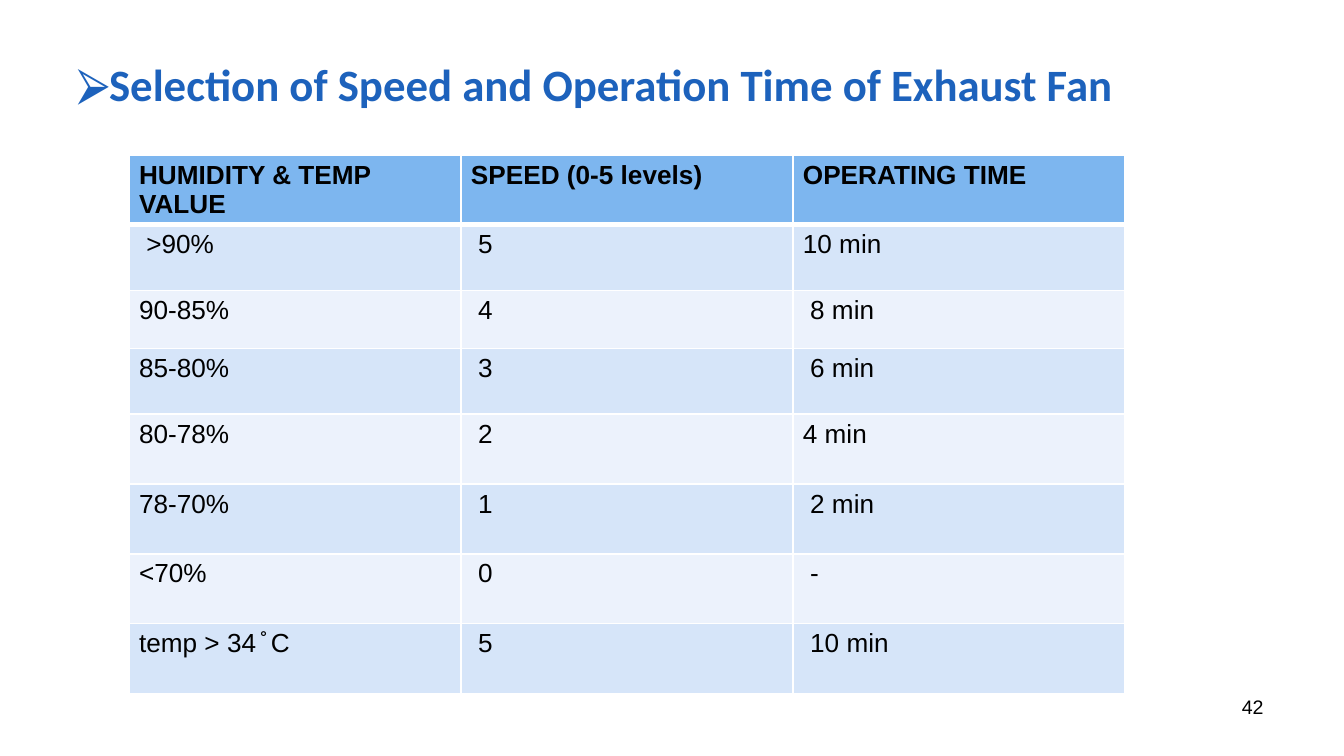
from dataclasses import dataclass

from lxml.etree import SubElement
from pptx import Presentation
from pptx.dml.color import RGBColor
from pptx.enum.text import MSO_ANCHOR, MSO_AUTO_SIZE, PP_ALIGN
from pptx.oxml.ns import qn
from pptx.util import Emu, Pt

TITLE = "Selection of Speed and Operation Time of Exhaust Fan"
TITLE_BULLET = "⮚"
PAGE_NUMBER = "42"
HEADER = ("HUMIDITY & TEMP VALUE", "SPEED (0-5 levels)", "OPERATING TIME")
FAN_SETTINGS = [
    (" >90%", " 5", "10 min"),
    ("90-85%", " 4", " 8 min"),
    ("85-80%", " 3", " 6 min"),
    ("80-78%", " 2", "4 min"),
    ("78-70%", " 1", " 2 min"),
    ("<70%", " 0", " -"),
    ("temp > 34 ̊ C", " 5", " 10 min"),
]

# Lengths in px, 200 px to the inch
EMU_PER_PX = 4572
SLIDE_SIZE = (2000, 1125)
TITLE_BOX = (100, 77, 1800, 126)
TITLE_MARGIN_X, TITLE_MARGIN_Y = 15, 8
TITLE_INDENT = 34
NUMBER_BOX = (1434, 1024, 466, 78)
TABLE_LEFT, TABLE_TOP, COLUMN_WIDTH = 192, 231, 494
ROW_HEIGHTS = (98, 98, 86, 98, 104, 104, 104, 104)
CELL_MARGIN_X, CELL_MARGIN_Y = 15, 8


@dataclass(frozen=True)
class Theme:
    title_color: str = "1D62BC"
    text_color: str = "000000"
    header_fill: str = "7DB6EF"
    band_fills: tuple = ("D6E5F9", "ECF2FC")
    border_color: str = "FFFFFF"
    title_font: str = "Calibri"
    body_font: str = "Arial"
    title_size: float = 24
    table_size: float = 14
    number_size: float = 10.5
    border_width: float = 1
    header_rule_width: float = 3


THEME = Theme()


def px(length):
    return Emu(length * EMU_PER_PX)


def place(shape, box):
    shape.left, shape.top, shape.width, shape.height = map(px, box)


def set_margins(container, horizontal, vertical):
    container.margin_left = container.margin_right = px(horizontal)
    container.margin_top = container.margin_bottom = px(vertical)


def set_text(text_frame, text, font_name, size, color, bold=False):
    text_frame.text = text
    paragraph = text_frame.paragraphs[0]
    font = paragraph.runs[0].font
    font.name, font.size, font.bold = font_name, Pt(size), bold
    font.color.rgb = RGBColor.from_string(color)
    return paragraph


def add_bullet(paragraph, character, color, indent):
    properties = paragraph._p.get_or_add_pPr()
    properties.set("marL", str(px(indent)))
    properties.set("indent", str(px(-indent)))
    bullet_color = SubElement(properties, qn("a:buClr"))
    SubElement(bullet_color, qn("a:srgbClr"), val=color)
    SubElement(properties, qn("a:buFont"), typeface=THEME.body_font)
    SubElement(properties, qn("a:buChar"), char=character)


def set_borders(cell, top, bottom):
    properties = cell._tc.get_or_add_tcPr()
    widths = {"L": THEME.border_width, "R": THEME.border_width, "T": top, "B": bottom}
    for index, (side, width) in enumerate(widths.items()):
        line = SubElement(properties, qn(f"a:ln{side}"), w=str(Pt(width)))
        fill = SubElement(line, qn("a:solidFill"))
        SubElement(fill, qn("a:srgbClr"), val=THEME.border_color)
        properties.insert(index, line)  # borders come before the cell fill


def add_title(slide):
    title = slide.shapes.title
    place(title, TITLE_BOX)
    frame = title.text_frame
    set_margins(frame, TITLE_MARGIN_X, TITLE_MARGIN_Y)
    frame.vertical_anchor = MSO_ANCHOR.TOP
    frame.auto_size = MSO_AUTO_SIZE.NONE
    paragraph = set_text(frame, TITLE, THEME.title_font, THEME.title_size,
                         THEME.title_color, bold=True)
    paragraph.alignment = PP_ALIGN.LEFT
    add_bullet(paragraph, TITLE_BULLET, THEME.title_color, TITLE_INDENT)


def add_settings_table(slide):
    rows = [HEADER, *FAN_SETTINGS]
    box = (TABLE_LEFT, TABLE_TOP, COLUMN_WIDTH * len(HEADER), sum(ROW_HEIGHTS))
    table = slide.shapes.add_table(len(rows), len(HEADER), *map(px, box)).table
    for column in table.columns:
        column.width = px(COLUMN_WIDTH)
    for index, (values, height) in enumerate(zip(rows, ROW_HEIGHTS)):
        table.rows[index].height = px(height)
        is_header = index == 0
        fill = THEME.header_fill if is_header else THEME.band_fills[(index - 1) % 2]
        top = THEME.header_rule_width if index == 1 else THEME.border_width
        bottom = THEME.header_rule_width if is_header else THEME.border_width
        for cell, value in zip(table.rows[index].cells, values):
            set_margins(cell, CELL_MARGIN_X, CELL_MARGIN_Y)
            cell.fill.solid()
            cell.fill.fore_color.rgb = RGBColor.from_string(fill)
            set_text(cell.text_frame, value, THEME.body_font, THEME.table_size,
                     THEME.text_color, bold=is_header)
            set_borders(cell, top, bottom)


def add_page_number(slide):
    frame = slide.shapes.add_textbox(*map(px, NUMBER_BOX)).text_frame
    frame.word_wrap = True
    paragraph = set_text(frame, PAGE_NUMBER, THEME.body_font, THEME.number_size,
                         THEME.text_color)
    paragraph.alignment = PP_ALIGN.RIGHT


def main():
    presentation = Presentation()
    presentation.slide_width, presentation.slide_height = map(px, SLIDE_SIZE)
    slide = presentation.slides.add_slide(presentation.slide_layouts.get_by_name("Title Only"))
    add_title(slide)
    add_settings_table(slide)
    add_page_number(slide)
    presentation.save("out.pptx")


if __name__ == "__main__":
    main()
